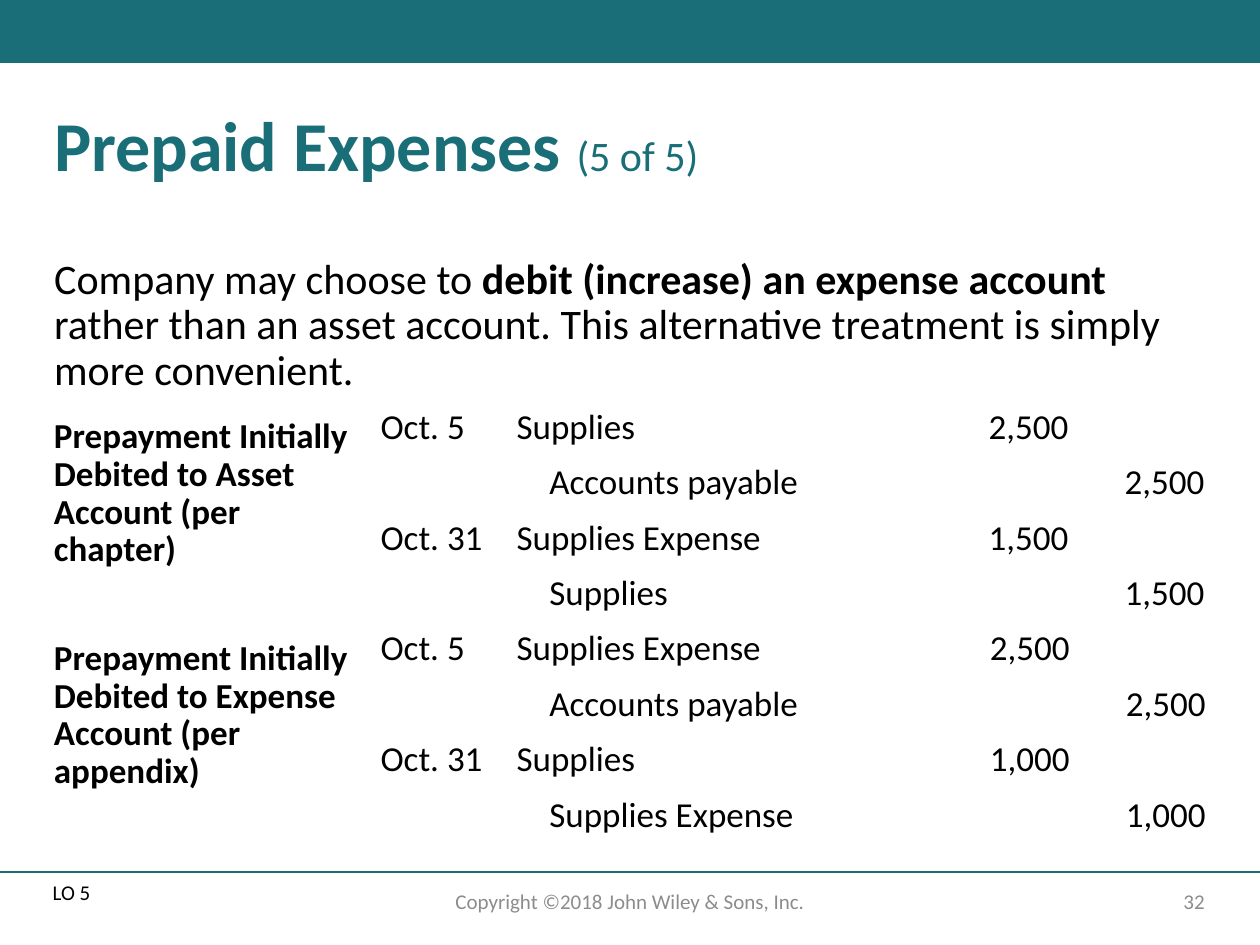
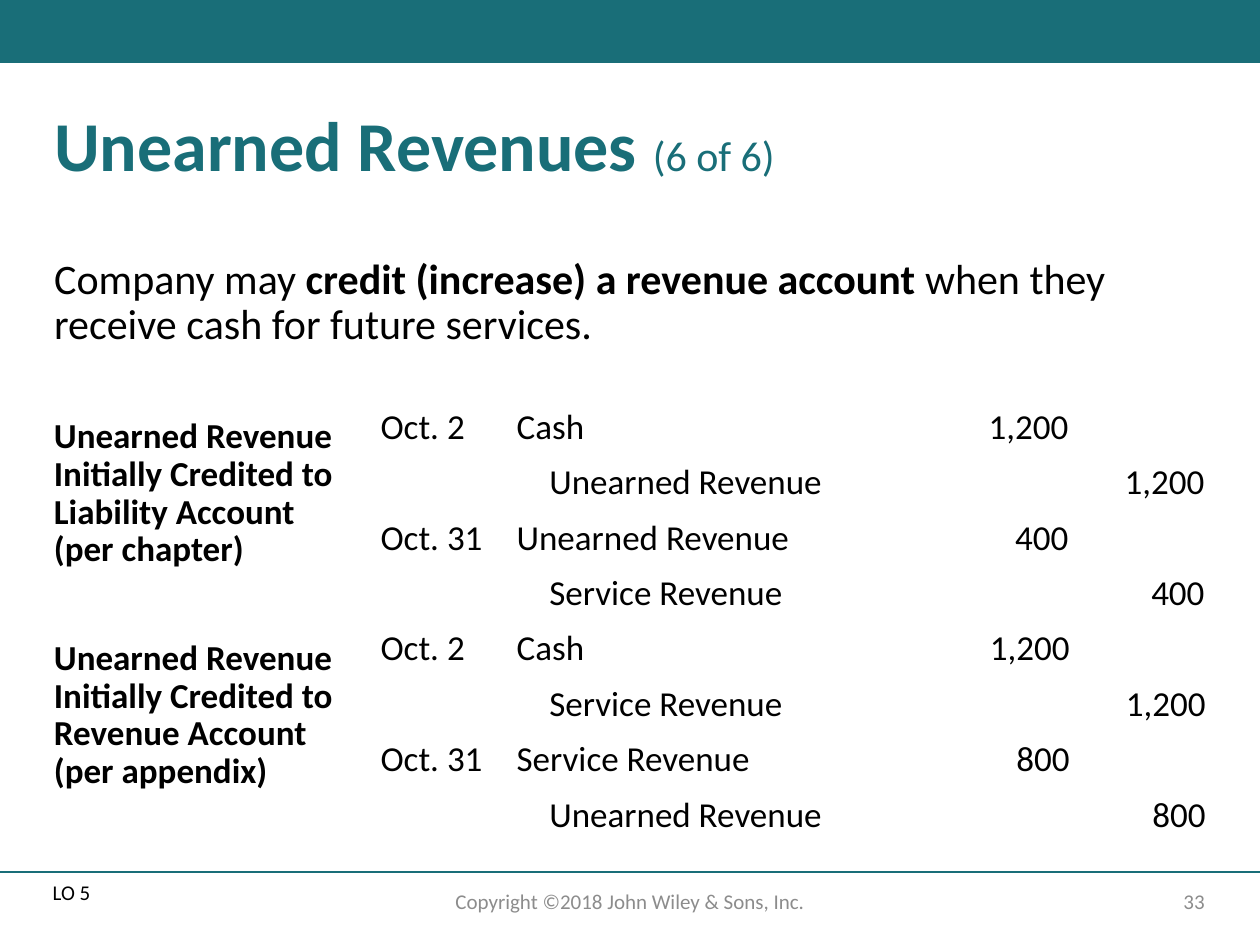
from pptx import Presentation
from pptx.dml.color import RGBColor
from pptx.enum.shapes import MSO_CONNECTOR, MSO_SHAPE
from pptx.enum.text import MSO_ANCHOR, MSO_AUTO_SIZE, PP_ALIGN
from pptx.oxml.ns import qn
from pptx.util import Inches, Pt
from lxml.etree import SubElement

TEAL = RGBColor(0x19, 0x6E, 0x78)
BLACK = RGBColor(0, 0, 0)
GRAY = RGBColor(0x8C, 0x8C, 0x8C)

HEAD = {"size": Pt(40), "bold": True, "color": TEAL}
PART = {"size": Pt(24), "bold": False, "color": TEAL}
LEDE = {"size": Pt(24), "bold": False, "color": BLACK}
KEY = {**LEDE, "bold": True}
SIDE = {"size": Pt(20), "bold": True, "color": BLACK}
CELL = {**SIDE, "bold": False}
MARK = {"size": Pt(12), "color": BLACK}
FOOT = {**MARK, "color": GRAY}

COPY = "Copyright ©2018 John Wiley & Sons, Inc."
GOAL = "LO 5"
FIRST = 32

SLIDES = [
    {
        "title": ("Prepaid Expenses ", "(5 of 5)"),
        "lede": ("Company may choose to ", "debit (increase) an expense account ",
                 "rather than an asset account. This alternative treatment is simply more convenient."),
        "sets": [
            {"label": ["Prepayment Initially Debited to Asset Account (per chapter)"], "wide": 2.54,
             "entries": [("Oct. 5", "Supplies", "Accounts payable", "2,500"),
                         ("Oct. 31", "Supplies Expense", "Supplies", "1,500")]},
            {"label": ["Prepayment Initially Debited to Expense Account (per appendix)"], "wide": 2.54,
             "entries": [("Oct. 5", "Supplies Expense", "Accounts payable", "2,500"),
                         ("Oct. 31", "Supplies", "Supplies Expense", "1,000")]},
        ],
    },
    {
        "title": ("Unearned Revenues ", "(6 of 6)"),
        "lede": ("Company may ", "credit (increase) a revenue account ",
                 "when they receive cash for future services."),
        "sets": [
            {"label": ["Unearned Revenue Initially Credited to Liability Account (per chapter)"], "wide": 2.43,
             "entries": [("Oct. 2", "Cash", "Unearned Revenue", "1,200"),
                         ("Oct. 31", "Unearned Revenue", "Service Revenue", "400")]},
            {"label": ["Unearned Revenue", "Initially Credited to", "Revenue Account", "(per appendix)"],
             "wide": 2.47,
             "entries": [("Oct. 2", "Cash", "Service Revenue", "1,200"),
                         ("Oct. 31", "Service Revenue", "Unearned Revenue", "800")]},
        ],
    },
]

LEFT, WIDE = 0.33, 9.33
TABLE = {"left": 2.92, "top": 3.17, "step": 1.76, "row": 0.43}
COLS = [(1.08, 3, 1.58, 1.08), (1.08, 3.17, 1.42, 1.08)]


def style(font, look):
    """Apply a dict of format values to a font."""
    font.name = "Calibri"
    for name, value in look.items():
        if name == "color":
            font.color.rgb = value
        else:
            setattr(font, name, value)


def write(para, parts, align=PP_ALIGN.LEFT, space=0.9):
    """Write (text, look) parts as runs of one paragraph."""
    form = {"alignment": align, "line_spacing": space, "space_before": Pt(0)}
    for name, value in form.items():
        setattr(para, name, value)
    for text, look in parts:
        run = para.add_run()
        run.text = text
        style(run.font, look)


def place(shape, left, top, width, height, anchor=MSO_ANCHOR.TOP):
    """Move a text shape and return its frame."""
    box = {"left": left, "top": top, "width": width, "height": height}
    for name, value in box.items():
        setattr(shape, name, Inches(value))
    frame = shape.text_frame
    form = {"word_wrap": True, "auto_size": MSO_AUTO_SIZE.NONE, "vertical_anchor": anchor}
    for name, value in form.items():
        setattr(frame, name, value)
    return frame


def add_box(slide, left, top, width, height, anchor=MSO_ANCHOR.TOP):
    """Add a text box and return its frame."""
    return place(slide.shapes.add_textbox(0, 0, 0, 0), left, top, width, height, anchor)


def add_frame(slide, number):
    """Draw the band, the rule and the footers."""
    band = slide.shapes.add_shape(MSO_SHAPE.RECTANGLE, 0, 0, Inches(10), Inches(0.5))
    band.shadow.inherit = False
    band.fill.solid()
    band.fill.fore_color.rgb = TEAL
    band.line.fill.background()
    rule = slide.shapes.add_connector(MSO_CONNECTOR.STRAIGHT, 0, Inches(6.92), Inches(10), Inches(6.92))
    rule.line.color.rgb = TEAL
    rule.line.width = Pt(1)
    SubElement(rule._element.spPr, qn("a:effectLst"))
    feet = [
        (GOAL, 0.32, 0.62, MARK, PP_ALIGN.LEFT, MSO_ANCHOR.TOP),
        (COPY, 3.31, 3.38, FOOT, PP_ALIGN.CENTER, MSO_ANCHOR.MIDDLE),
        (str(number), 7.06, 2.6, FOOT, PP_ALIGN.RIGHT, MSO_ANCHOR.MIDDLE),
    ]
    for text, left, width, look, align, anchor in feet:
        frame = add_box(slide, left, 6.95, width, 0.4, anchor)
        write(frame.paragraphs[0], [(text, look)], align, 0.9 if look is MARK else 1)


def add_table(slide, top, cols, entries):
    """Add journal entries, each a debit row and a credit row."""
    rows = []
    for date, debit, credit, sum_ in entries:
        rows += [(date, debit, sum_, ""), ("", credit, "", sum_)]
    table = slide.shapes.add_table(len(rows), len(cols), Inches(TABLE["left"]), Inches(top),
                                   Inches(sum(cols)), Inches(TABLE["row"] * len(rows))).table
    table.first_row = table.horz_banding = False
    for col, width in zip(table.columns, cols):
        col.width = Inches(width)
    for i, row in enumerate(rows):
        for j, text in enumerate(row):
            cell = table.cell(i, j)
            cell.fill.background()
            if not text:
                continue
            para = cell.text_frame.paragraphs[0]
            write(para, [(text, CELL)], PP_ALIGN.RIGHT if j > 1 else PP_ALIGN.LEFT, 1)
            if j == 1 and i % 2:
                para._p.get_or_add_pPr().set("indent", str(Inches(0.26)))


def add_slide(deck, data, number):
    """Build one slide from its content."""
    slide = deck.slides.add_slide(deck.slide_layouts[1])
    add_frame(slide, number)
    title = place(slide.shapes.title, LEFT, 0.83, WIDE, 0.71)
    write(title.paragraphs[0], zip(data["title"], (HEAD, PART)))
    para = place(slide.placeholders[1], LEFT, 2, WIDE, 1.11).paragraphs[0]
    props = para._p.get_or_add_pPr()
    props.set("marL", "0")
    props.set("indent", "0")
    SubElement(props, qn("a:buNone"))
    write(para, zip(data["lede"], (LEDE, KEY, LEDE)))
    for i, (part, cols) in enumerate(zip(data["sets"], COLS)):
        top = TABLE["top"] + i * TABLE["step"]
        frame = add_box(slide, LEFT, top + 0.1, part["wide"], 1.32)
        for j, text in enumerate(part["label"]):
            line = frame.add_paragraph() if j else frame.paragraphs[0]
            write(line, [(text, SIDE)])
        add_table(slide, top, cols, part["entries"])


def main():
    """Build and save the deck."""
    deck = Presentation()
    deck.slide_width, deck.slide_height = Inches(10), Inches(7.5)
    for number, data in enumerate(SLIDES, FIRST):
        add_slide(deck, data, number)
    deck.save("out.pptx")


if __name__ == "__main__":
    main()
